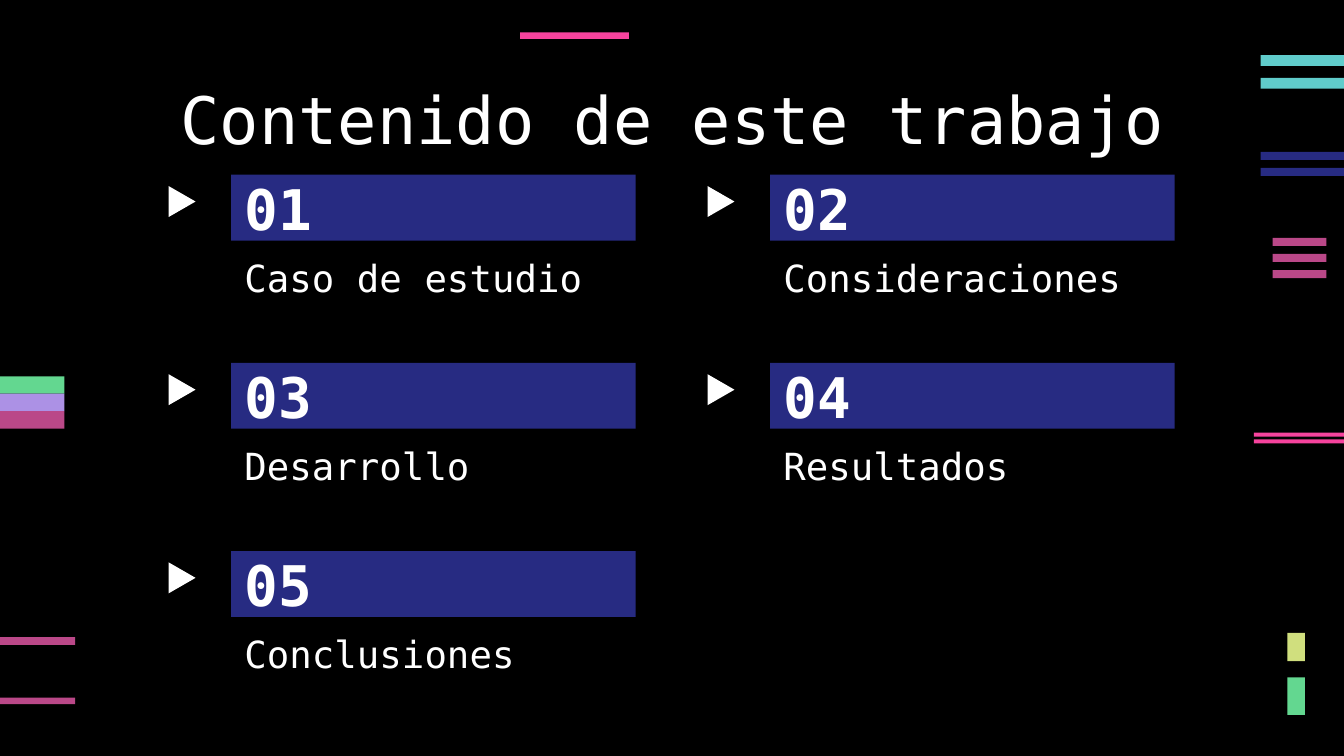
import pptx
import pptx.util
import pptx.dml.color
import pptx.enum.shapes
import pptx.enum.text

Inches = pptx.util.Inches
RGBColor = pptx.dml.color.RGBColor
Kind = pptx.enum.shapes.MSO_SHAPE
Anchor = pptx.enum.text.MSO_ANCHOR
Align = pptx.enum.text.PP_ALIGN

BLACK = RGBColor(0x00, 0x00, 0x00)
WHITE = RGBColor(0xFF, 0xFF, 0xFF)
NAVY = RGBColor(0x27, 0x2B, 0x82)
ROSE = RGBColor(0xBA, 0x48, 0x88)
PINK = RGBColor(0xF6, 0x43, 0x9D)
TEAL = RGBColor(0x60, 0xCC, 0xCB)
GREEN = RGBColor(0x63, 0xD7, 0x90)
LILAC = RGBColor(0xAC, 0x91, 0xE5)
LIME = RGBColor(0xD0, 0xDF, 0x7E)

FONT = "DejaVu Sans Mono"
TOPICS = ["Caso de estudio", "Consideraciones", "Desarrollo", "Resultados", "Conclusiones"]
STRIPES = [
    (9.47, 0.4, 0.06, ROSE, [1.77, 1.89, 2.01]),
    (0, 0.56, 0.06, ROSE, [4.74]),
    (0, 0.56, 0.05, ROSE, [5.19]),
    (3.87, 0.81, 0.05, PINK, [0.24]),
    (9.38, 0.62, 0.08, TEAL, [0.41, 0.58]),
    (0, 0.48, 0.13, GREEN, [2.8]),
    (0, 0.48, 0.13, LILAC, [2.93]),
    (0, 0.48, 0.13, ROSE, [3.06]),
    (9.58, 0.13, 0.21, LIME, [4.71]),
    (9.58, 0.13, 0.28, GREEN, [5.04]),
    (9.33, 0.67, 0.03, PINK, [3.22, 3.27]),
    (9.38, 0.62, 0.06, NAVY, [1.13, 1.25]),
]


def add_block(slide, kind, x, y, w, h, color):
    block = slide.shapes.add_shape(kind, Inches(x), Inches(y), Inches(w), Inches(h))
    block.shadow.inherit = False
    block.fill.solid()
    block.fill.fore_color.rgb = color
    block.line.fill.background()
    return block


def set_text(shape, text, size, anchor, align=Align.LEFT, bold=False):
    frame = shape.text_frame
    frame.word_wrap = True
    frame.auto_size = pptx.enum.text.MSO_AUTO_SIZE.NONE
    frame.vertical_anchor = anchor
    frame.margin_left = frame.margin_right = Inches(0.1)
    frame.margin_top = frame.margin_bottom = Inches(0.1)
    frame.text = text
    line = frame.paragraphs[0]
    line.alignment = align
    line.line_spacing = 1.0
    line.space_before = pptx.util.Pt(0)
    font = line.font
    font.name = FONT
    font.size = pptx.util.Pt(size)
    font.bold = bold
    font.color.rgb = WHITE


def add_title(slide, text):
    title = slide.shapes.title
    title.left, title.top = Inches(0.79), Inches(0.49)
    title.width, title.height = Inches(8.43), Inches(0.63)
    set_text(title, text, 35, Anchor.TOP, Align.CENTER)


def add_topic(slide, index, name):
    row, col = divmod(index, 2)
    x, y = 1.72 + 4.01 * col, 1.3 + 1.4 * row
    bar = add_block(slide, Kind.RECTANGLE, x, y, 3.01, 0.49, NAVY)
    set_text(bar, f"{index + 1:02}", 30, Anchor.MIDDLE, bold=True)
    label = slide.shapes.add_textbox(Inches(x), Inches(y + 0.49), Inches(3.01), Inches(0.54))
    set_text(label, name, 20, Anchor.BOTTOM)
    arrow = add_block(slide, Kind.ISOSCELES_TRIANGLE, x - 0.48, y + 0.1, 0.23, 0.2, WHITE)
    arrow.rotation = 90


def main():
    deck = pptx.Presentation()
    deck.slide_width = Inches(10)
    deck.slide_height = deck.slide_width * 9 // 16
    slide = deck.slides.add_slide(deck.slide_layouts[5])
    slide.background.fill.solid()
    slide.background.fill.fore_color.rgb = BLACK
    for x, w, h, color, tops in STRIPES:
        for y in tops:
            add_block(slide, Kind.RECTANGLE, x, y, w, h, color)
    add_title(slide, "Contenido de este trabajo")
    for index, name in enumerate(TOPICS):
        add_topic(slide, index, name)
    deck.save("out.pptx")


if __name__ == "__main__":
    main()
